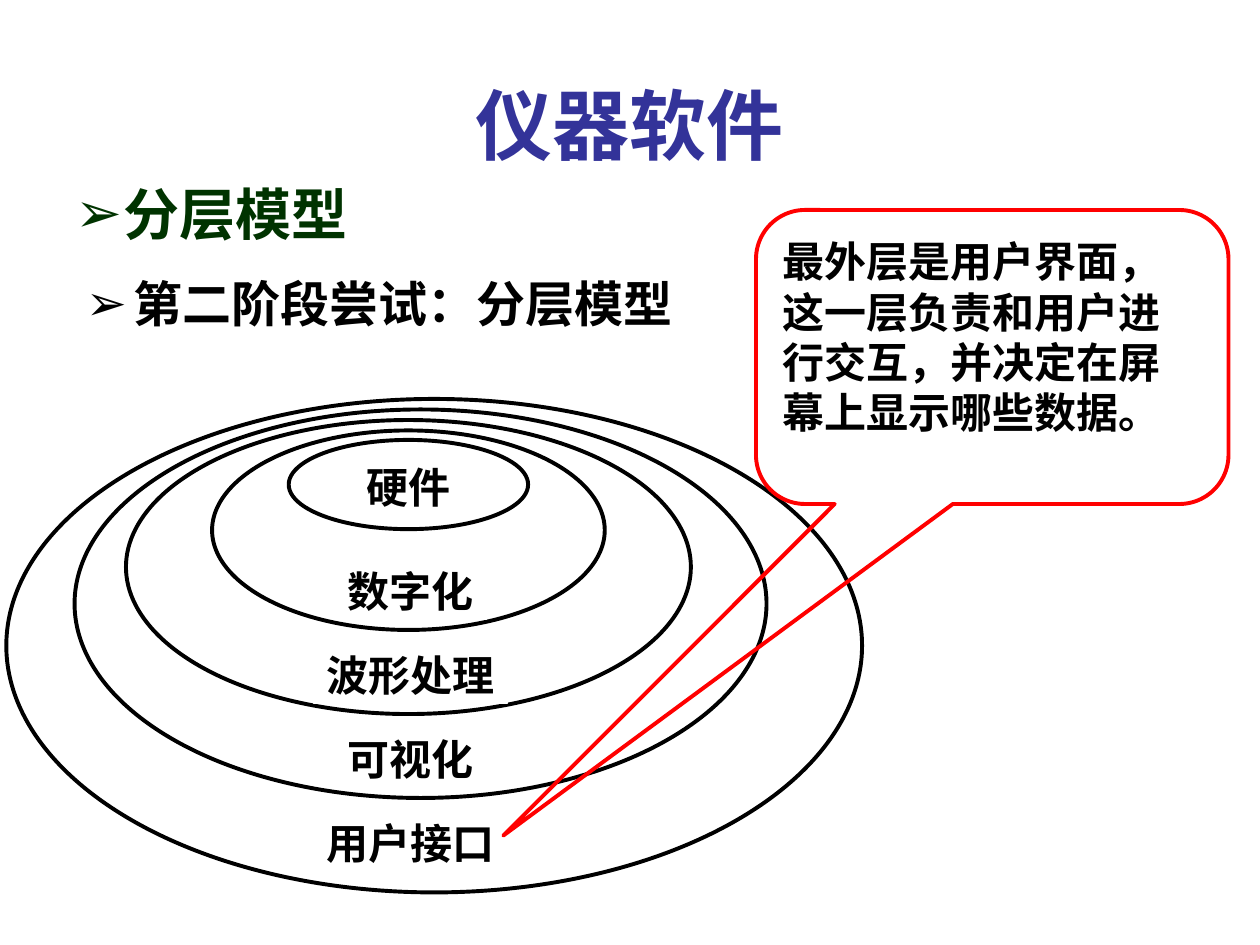
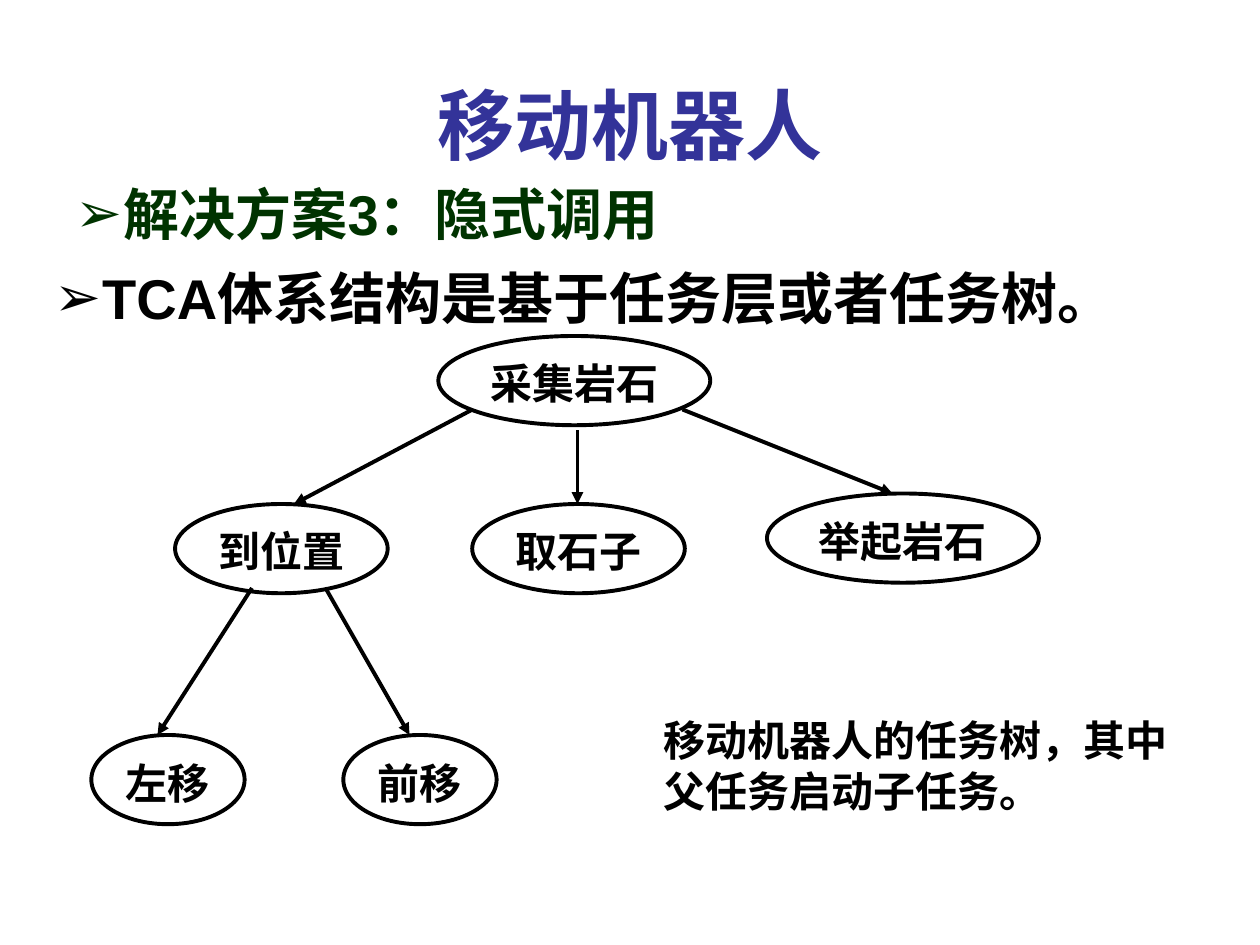
import dataclasses

import pptx
import pptx.dml.color
import pptx.enum.shapes
import pptx.enum.text
import pptx.oxml.ns
import pptx.util
from lxml import etree

SHAPE = pptx.enum.shapes.MSO_SHAPE
ALIGN = pptx.enum.text.PP_ALIGN
ANCHOR = pptx.enum.text.MSO_ANCHOR
qn = pptx.oxml.ns.qn
Pt = pptx.util.Pt
Inches = pptx.util.Inches

# The slide is a grid of square cells, 12 to the inch
COLS, ROWS, CELL = 120, 90, Inches(1) // 12


@dataclasses.dataclass(frozen=True)
class Theme:
    title: str = "333399"
    heading: str = "003300"
    ink: str = "000000"
    paper: str = "FFFFFF"
    accent: str = "FF0000"
    latin: str = "Arial"
    cjk: str = "Noto Sans CJK SC"
    title_size: int = 44
    heading_size: int = 32
    sub_size: int = 28
    label_size: int = 24
    leading: float = 1.2
    line: float = 2.25
    hairline: float = 0.75
    indent: float = 0.38
    bullet: str = "➢"


T = Theme()


@dataclasses.dataclass(frozen=True)
class Box:
    """A region in grid cells."""
    x: float
    y: float
    w: float
    h: float

    def sub(self, x, y, w, h):
        return Box(self.x + x, self.y + y, w, h)

    def emu(self):
        return [round(v * CELL) for v in (self.x, self.y, self.w, self.h)]


TITLE = Box(6, 4, 108, 15)
HEADING = Box(6, 16, 111, 9)


def rgb(value):
    return pptx.dml.color.RGBColor.from_string(value)


def add_bullet(p, color):
    pPr = p._p.get_or_add_pPr()
    pPr.set("marL", str(Inches(T.indent)))
    pPr.set("indent", str(-Inches(T.indent)))
    clr = etree.SubElement(pPr, qn("a:buClr"))
    etree.SubElement(clr, qn("a:srgbClr"), val=color)
    etree.SubElement(pPr, qn("a:buFont"), typeface=T.latin)
    etree.SubElement(pPr, qn("a:buChar"), char=T.bullet)


def write(sp, text, size=T.label_size, color=T.ink, font=T.cjk,
          align=ALIGN.CENTER, anchor=ANCHOR.MIDDLE, wrap=True, bullet=False):
    tf = sp.text_frame
    tf.word_wrap = wrap
    tf.vertical_anchor = anchor
    tf.margin_left = tf.margin_right = Inches(0.1)
    tf.margin_top, tf.margin_bottom = Inches(0.09), Inches(0.05)
    p = tf.paragraphs[0]
    if bullet:
        add_bullet(p, color)
    p.alignment = align
    p.line_spacing = Pt(size * T.leading)
    r = p.add_run()
    r.text = text
    r.font.size, r.font.bold, r.font.name = Pt(size), True, font
    r.font.color.rgb = rgb(color)
    etree.SubElement(r._r.get_or_add_rPr(), qn("a:ea"), typeface=T.cjk)


def add_text(slide, box, text, **fmt):
    write(slide.shapes.add_textbox(*box.emu()), text, **fmt)


def add_outline(slide, kind, box, color=T.ink, width=T.line):
    sp = slide.shapes.add_shape(kind, *box.emu())
    sp.shadow.inherit = False
    sp.fill.background()
    sp.line.color.rgb = rgb(color)
    sp.line.width = Pt(width)
    return sp


def add_arrow(slide, box, x1, y1, x2, y2):
    ends = [round(v * CELL) for v in
            (box.x + x1, box.y + y1, box.x + x2, box.y + y2)]
    cn = slide.shapes.add_connector(
        pptx.enum.shapes.MSO_CONNECTOR.STRAIGHT, *ends)
    cn.line.color.rgb = rgb(T.ink)
    cn.line.width = Pt(T.line)
    etree.SubElement(cn.line._get_or_add_ln(), qn("a:tailEnd"), type="triangle")
    etree.SubElement(cn._element.spPr, qn("a:effectLst"))


def add_bullet_line(slide, box, text, size, color=T.ink):
    add_text(slide, box, text, size=size, color=color, font=T.latin,
             align=ALIGN.LEFT, anchor=ANCHOR.TOP, bullet=True)


def add_page(prs, title, heading):
    """A blank slide with the shared title and green heading."""
    slide = prs.slides.add_slide(prs.slide_layouts[6])
    slide.background.fill.solid()
    slide.background.fill.fore_color.rgb = rgb(T.paper)
    add_bullet_line(slide, HEADING, heading, T.heading_size, T.heading)
    add_text(slide, TITLE, title, size=T.title_size, color=T.title,
             font=T.latin)
    return slide


def add_layers(slide, box):
    """Nested ellipses, innermost first; each top sits one row higher."""
    core = add_outline(slide, SHAPE.OVAL, box.sub(26.9, 3.9, 22.8, 8.5))
    write(core, "硬件")
    rings = [("数字化", 19.6, 37.4, 19), ("波形处理", 11.4, 53.8, 28),
             ("可视化", 6.5, 65.9, 37), ("用户接口", 0, box.w, box.h)]
    axis = 38.5
    for i, (name, x, w, h) in enumerate(rings):
        add_outline(slide, SHAPE.OVAL, box.sub(x, 3 - i, w, h))
        label_w = 4 * len(name) + 2.4
        label = add_outline(
            slide, SHAPE.RECTANGLE,
            box.sub(axis - label_w / 2, 15 + 8 * i, label_w, 6),
            T.paper, T.hairline)
        write(label, name, wrap=False)


def add_callout(slide, box, text):
    sp = add_outline(slide, SHAPE.ROUNDED_RECTANGULAR_CALLOUT, box, T.accent)
    for i, value in enumerate((-1.035, 1.628, 0.167)):
        sp.adjustments[i] = value
    write(sp, text, align=ALIGN.LEFT, anchor=ANCHOR.TOP)


def add_task_tree(slide, box):
    # Tasks: name, centre column, top row
    tasks = [("采集岩石", 46.7, 0), ("到位置", 18.8, 16), ("取石子", 47.1, 16),
             ("举起岩石", 78, 15), ("左移", 8, 38), ("前移", 32, 38)]
    for name, cx, top in tasks:
        w = 5.65 * len(name) + 3.3
        sp = add_outline(slide, SHAPE.OVAL, box.sub(cx - w / 2, top, w, 8.5))
        write(sp, name, wrap=False)
    # Parent to child arrows
    for ends in [(37, 7, 20, 16), (47, 9, 47, 16), (57, 7, 77, 15),
                 (16, 24, 7, 38), (23, 24, 31, 38)]:
        add_arrow(slide, box, *ends)


def build_layer_slide(prs):
    slide = add_page(prs, "仪器软件", "分层模型")
    add_bullet_line(slide, Box(7, 25, 109, 57), "第二阶段尝试：分层模型",
                    T.sub_size)
    add_layers(slide, Box(0.6, 38, 81.5, 47))
    add_callout(slide, Box(72, 20, 45, 28),
                "最外层是用户界面，这一层负责和用户进行交互，"
                "并决定在屏幕上显示哪些数据。")


def build_task_slide(prs):
    slide = add_page(prs, "移动机器人", "解决方案3：隐式调用")
    add_bullet_line(slide, Box(4, 24, 113, 60),
                    "TCA体系结构是基于任务层或者任务树。", T.heading_size)
    add_task_tree(slide, Box(8, 32, 92, 47))
    add_text(slide, Box(62, 67, 54, 10.8),
             "移动机器人的任务树，其中父任务启动子任务。",
             align=ALIGN.LEFT, anchor=ANCHOR.TOP)


def main():
    prs = pptx.Presentation()
    prs.slide_width, prs.slide_height = COLS * CELL, ROWS * CELL
    build_layer_slide(prs)
    build_task_slide(prs)
    prs.save("out.pptx")


if __name__ == "__main__":
    main()
